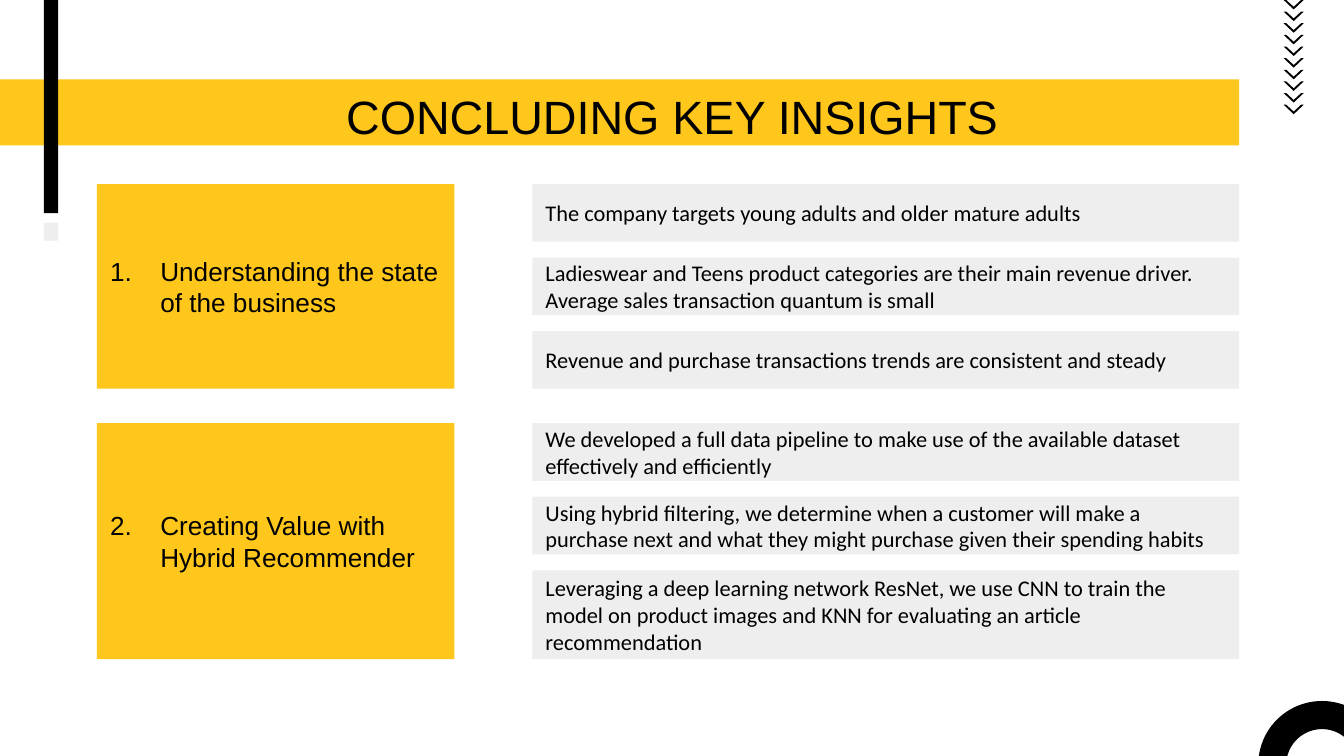
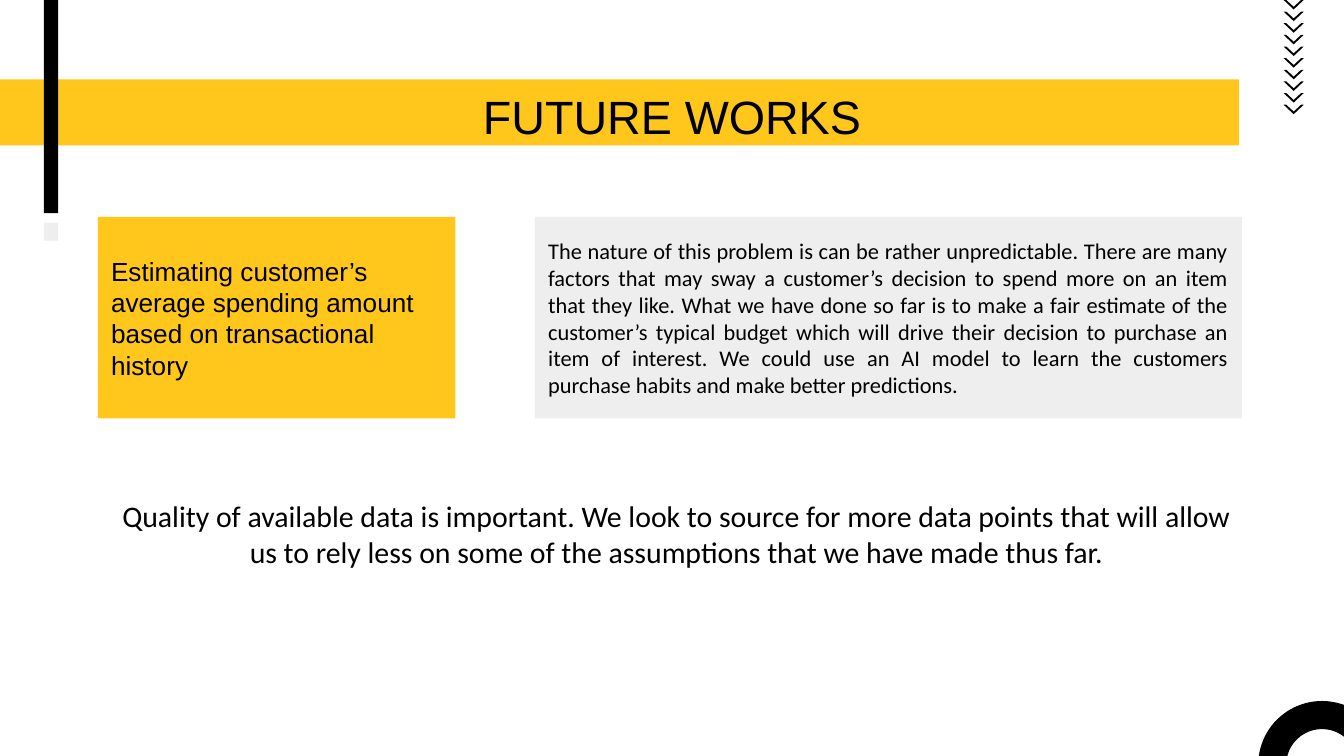
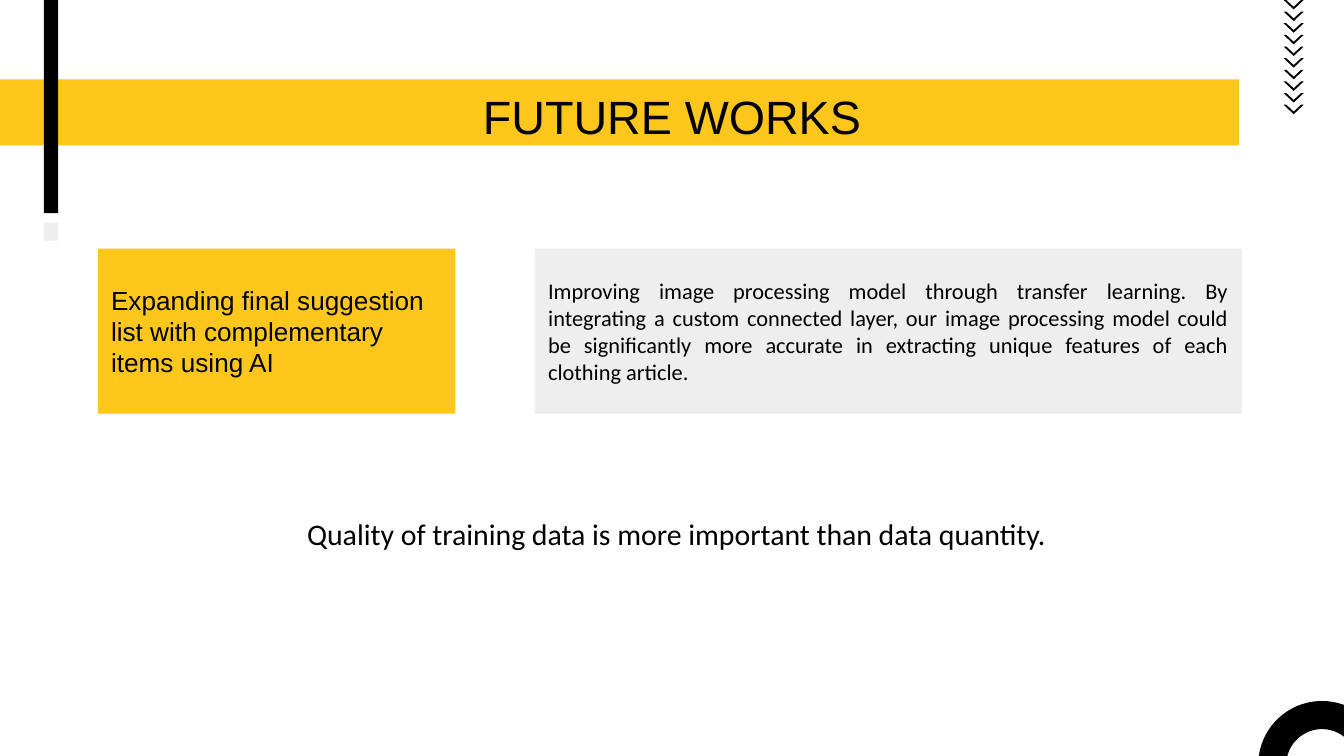
from lxml.etree import SubElement
from pptx import Presentation
from pptx.dml.color import RGBColor
from pptx.enum.shapes import MSO_SHAPE
from pptx.enum.text import MSO_ANCHOR, PP_ALIGN
from pptx.oxml.ns import qn
from pptx.util import Cm, Pt

YELLOW = RGBColor(0xFF, 0xC7, 0x1C)
GREY = RGBColor(0xEE, 0xEE, 0xEE)
BLACK = RGBColor(0x00, 0x00, 0x00)

HEADING_FONT = "Arial"
BODY_FONT = "Calibri"

# Chevron outline and spacing, in centimetres
CHEVRON = [(0, 0), (0.19, 0.18), (0.38, 0), (0.33, 0), (0.19, 0.13), (0.05, 0)]
CHEVRON_LEFT, CHEVRON_STEP, CHEVRON_COUNT = 24.26, 0.22, 10

# Left edge and width of the two content columns
TOPIC_WIDTH, DETAIL_WIDTH = 6.76, 13.36
INSIGHT_HEIGHT, INSIGHT_STEP = 1.09, 1.39

INSIGHT_TOPICS = [
    ("Understanding the state of the business", 3.48, [
        "The company targets young adults and older mature adults",
        "Ladieswear and Teens product categories are their main revenue driver. "
        "Average sales transaction quantum is small",
        "Revenue and purchase transactions trends are consistent and steady",
    ], INSIGHT_HEIGHT),
    ("Creating Value with Hybrid Recommender", 8, [
        "We developed a full data pipeline to make use of the available dataset "
        "effectively and efficiently",
        "Using hybrid filtering, we determine when a customer will make a purchase "
        "next and what they might purchase given their spending habits",
        "Leveraging a deep learning network ResNet, we use CNN to train the model on "
        "product images and KNN for evaluating an article recommendation",
    ], 1.68),
]

FUTURE_WORKS = [
    ("Estimating customer’s average spending amount based on transactional history",
     "The nature of this problem is can be rather unpredictable. There are many factors "
     "that may sway a customer’s decision to spend more on an item that they like. What "
     "we have done so far is to make a fair estimate of the customer’s typical budget "
     "which will drive their decision to purchase an item of interest. We could use an AI "
     "model to learn the customers purchase habits and make better predictions.",
     4.1, 3.81,
     "Quality of available data is important. We look to source for more data points that "
     "will allow us to rely less on some of the assumptions that we have made thus far."),
    ("Expanding final suggestion list with complementary items using AI",
     "Improving image processing model through transfer learning. By integrating a custom "
     "connected layer, our image processing model could be significantly more accurate in "
     "extracting unique features of each clothing article.",
     4.7, 3.12,
     "Quality of training data is more important than data quantity."),
]


def paint(shape, color):
    """Give the shape a flat fill without line or shadow."""
    shape.shadow.inherit = False
    shape.fill.solid()
    shape.fill.fore_color.rgb = color
    shape.line.fill.background()


def add_box(slide, position, text, font_name, size, fill=None, align=PP_ALIGN.LEFT):
    """Add a filled rectangle, or a text box if there is no fill; return its paragraph."""
    lengths = [Cm(value) for value in position]
    if fill is None:
        shape = slide.shapes.add_textbox(*lengths)
        shape.text_frame.margin_top = shape.text_frame.margin_bottom = Cm(0.25)
    else:
        shape = slide.shapes.add_shape(MSO_SHAPE.RECTANGLE, *lengths)
        paint(shape, fill)
    frame = shape.text_frame
    frame.word_wrap = True
    frame.vertical_anchor = MSO_ANCHOR.MIDDLE
    frame.text = text
    paragraph = frame.paragraphs[0]
    paragraph.alignment = align
    for run in paragraph.runs:
        run.font.name = font_name
        run.font.size = Pt(size)
        run.font.color.rgb = BLACK
    return paragraph


presentation = Presentation()
presentation.slide_width = Cm(25.4)
presentation.slide_height = Cm(14.29)

# Shared frame: title band, left bar, chevrons, corner arc and title
slides = []
for title in ["CONCLUDING KEY INSIGHTS", "FUTURE WORKS", "FUTURE WORKS"]:
    slide = presentation.slides.add_slide(presentation.slide_layouts[6])
    slides.append(slide)

    for color, *position in [
        (YELLOW, 0, 1.5, 23.42, 1.25),
        (BLACK, 0.83, 0, 0.27, 4.03),
        (GREY, 0.83, 4.21, 0.27, 0.34),
    ]:
        bar = slide.shapes.add_shape(MSO_SHAPE.RECTANGLE, *[Cm(value) for value in position])
        paint(bar, color)

    for index in range(CHEVRON_COUNT):
        points = [(Cm(CHEVRON_LEFT + x), Cm(index * CHEVRON_STEP + y)) for x, y in CHEVRON]
        builder = slide.shapes.build_freeform(*points[0])
        builder.add_line_segments(points[1:])
        paint(builder.convert_to_shape(), BLACK)

    arc = slide.shapes.add_shape(MSO_SHAPE.BLOCK_ARC, Cm(23.78), Cm(13.25), Cm(2.41), Cm(2.41))
    arc.adjustments[2] = 0.22
    arc.rotation = -37
    paint(arc, BLACK)

    add_box(slide, (1.98, 1.5, 21.44, 1.37), title, HEADING_FONT, 25, align=PP_ALIGN.CENTER)

# Key insights: a numbered topic beside three findings
for number, (topic, top, insights, last_height) in enumerate(INSIGHT_TOPICS, start=1):
    topic_height = 2 * INSIGHT_STEP + last_height
    paragraph = add_box(slides[0], (1.83, top, TOPIC_WIDTH, topic_height), topic,
                        HEADING_FONT, 14, YELLOW)
    properties = paragraph._p.get_or_add_pPr()
    properties.set("marL", str(Cm(0.95)))
    properties.set("indent", str(-Cm(0.95)))
    SubElement(properties, qn("a:buAutoNum"), type="arabicPeriod", startAt=str(number))

    for row, insight in enumerate(insights):
        height = last_height if row == len(insights) - 1 else INSIGHT_HEIGHT
        add_box(slides[0], (10.06, top + row * INSIGHT_STEP, DETAIL_WIDTH, height),
                insight, BODY_FONT, 12, GREY)

# Future works: a topic, its explanation and a closing statement
for slide, (topic, detail, top, height, statement) in zip(slides[1:], FUTURE_WORKS):
    add_box(slide, (1.85, top, TOPIC_WIDTH, height), topic, HEADING_FONT, 14, YELLOW)
    add_box(slide, (10.11, top, DETAIL_WIDTH, height), detail, BODY_FONT, 12, GREY,
            PP_ALIGN.JUSTIFY)
    add_box(slide, (1.98, 9.37, 21.62, 1.42), statement, BODY_FONT, 16,
            align=PP_ALIGN.CENTER)

presentation.save("out.pptx")
